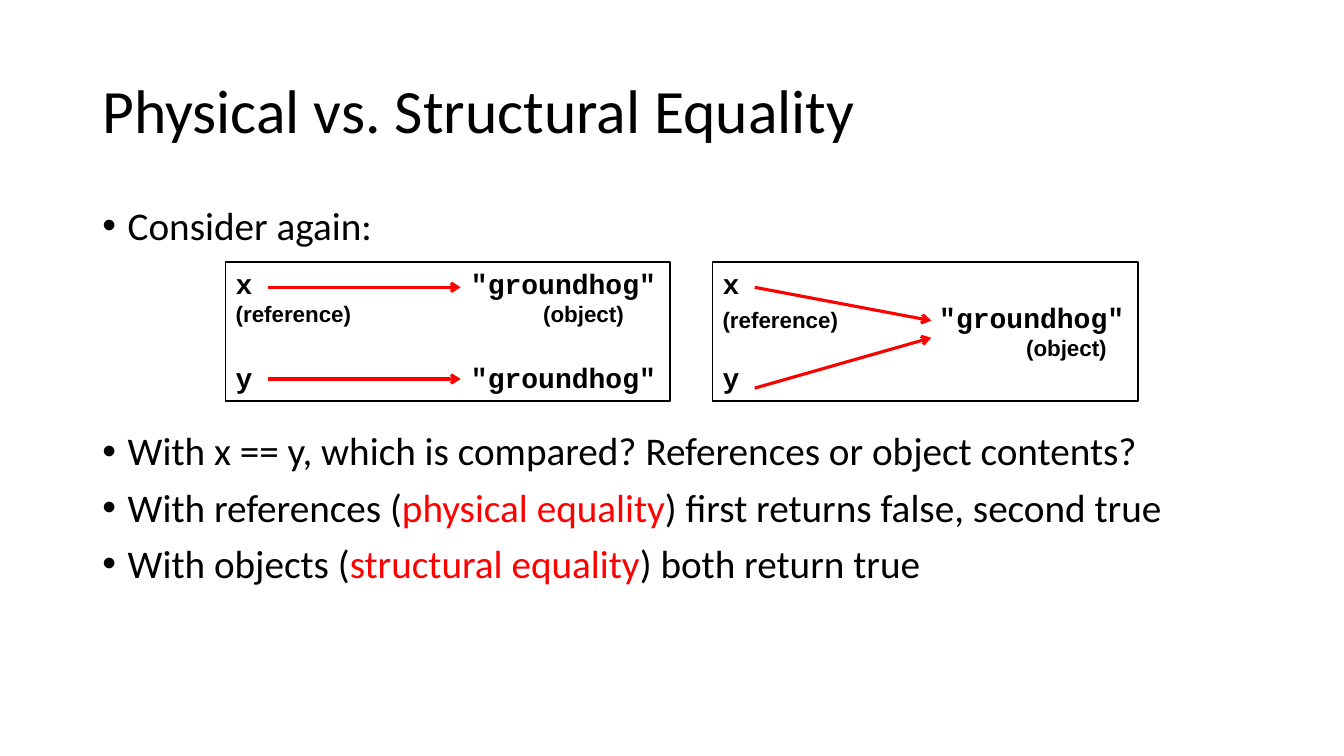
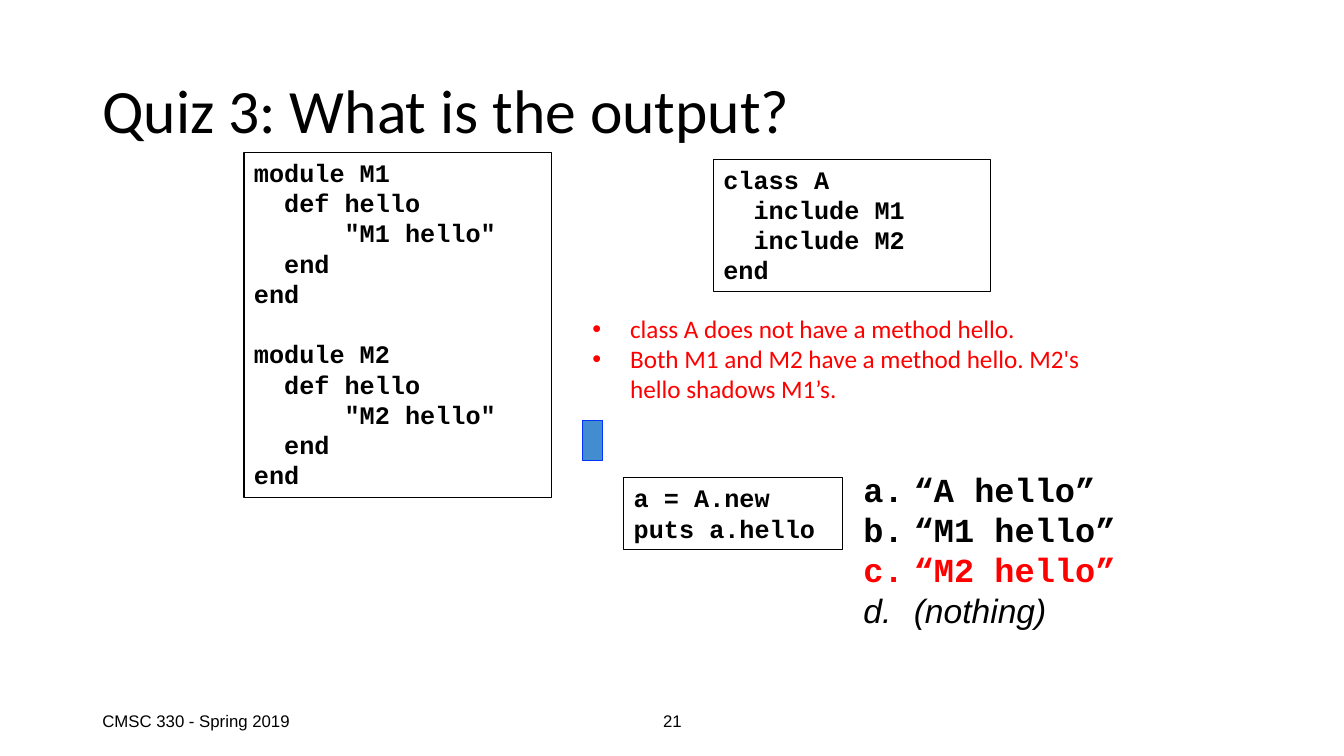
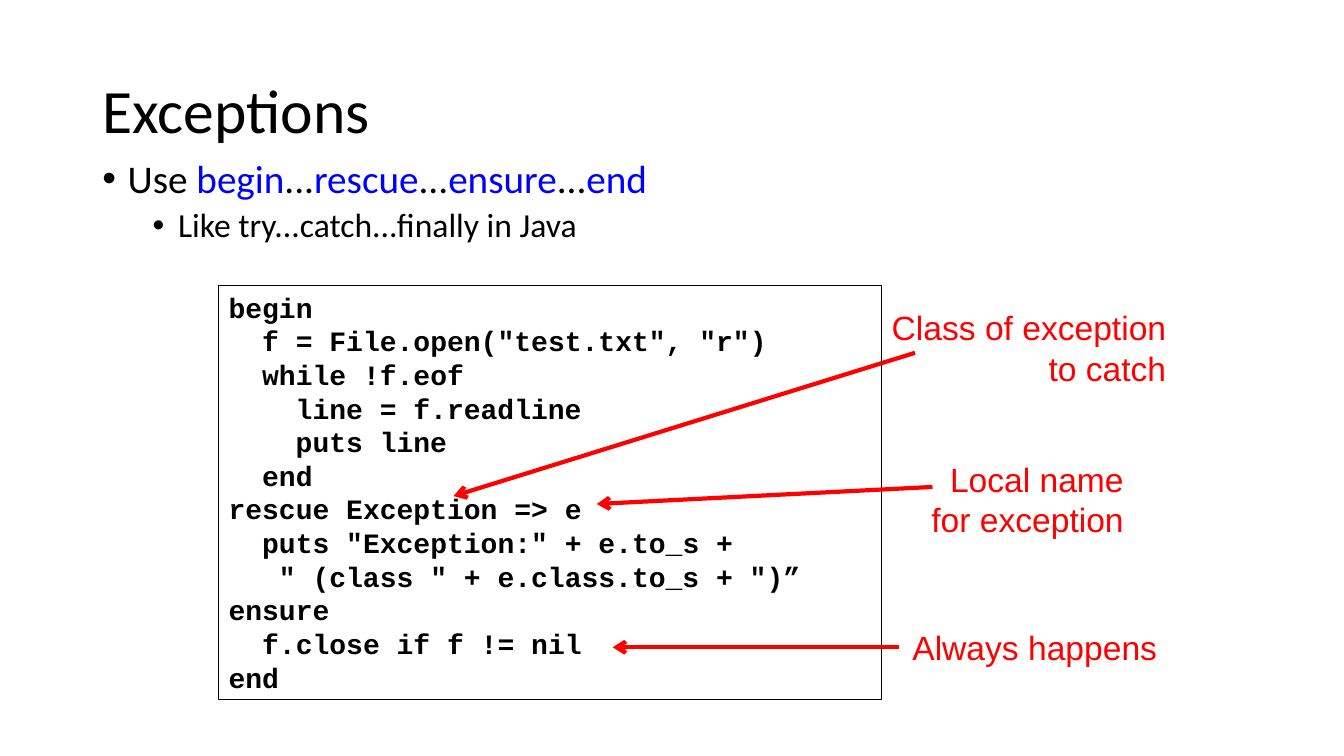
from lxml import etree
from pptx import Presentation
from pptx import util as u
from pptx.dml.color import RGBColor
from pptx.enum import shapes, text
from pptx.oxml import ns

BLACK, RED, BLUE = "000000", "FF0000", "0000FF"
SANS, BODY, MONO = "Arial", "Calibri", "Courier New"
LEFT, MID, RIGHT = text.PP_ALIGN.LEFT, text.PP_ALIGN.CENTER, text.PP_ALIGN.RIGHT
RECT = shapes.MSO_SHAPE.RECTANGLE
paint = RGBColor.from_string


def put(slide, at, lines, size, face, hue=BLACK, bold=None, edge=0, mark=None,
        hang=0, side=LEFT, mid=False, wrap=True, lead=None, gap=None):
    """Place text; a line is a string or a list of (words, colour)."""
    at = [u.Cm(v) for v in at]
    if edge:
        box = slide.shapes.add_shape(RECT, *at)
        box.shadow.inherit = False
        box.fill.background()
        box.line.color.rgb = paint(BLACK)
        box.line.width = u.Pt(edge)
    else:
        box = slide.shapes.add_textbox(*at)
    frame = box.text_frame
    frame.word_wrap = wrap
    frame.vertical_anchor = text.MSO_ANCHOR.MIDDLE if mid else text.MSO_ANCHOR.TOP
    paras = []
    for i, line in enumerate(lines):
        para = frame.add_paragraph() if i else frame.paragraphs[0]
        props = para._p.get_or_add_pPr()
        if mark:
            props.set("marL", str(u.Cm(hang)))
            props.set("indent", str(-u.Cm(hang)))
            if mark == "•":
                etree.SubElement(props, ns.qn("a:buFont")).set("typeface", SANS)
                etree.SubElement(props, ns.qn("a:buChar")).set("char", mark)
            else:
                etree.SubElement(props, ns.qn("a:buAutoNum")).set("type", mark)
        if isinstance(line, str):
            # Leading spaces of code become an indent of 0.6 em each
            deep = len(line) - len(line.lstrip())
            if deep:
                props.set("marL", str(u.Pt(deep * size * 0.6)))
                props.set("indent", "0")
            line = [(line.lstrip(), hue)]
        para.alignment = side
        if lead:
            para.line_spacing = lead
        if gap:
            para.space_before = u.Pt(gap)
        font = para.font
        font.size, font.name, font.bold = u.Pt(size), face, bold
        font.color.rgb = paint(hue)
        for words, tint in line:
            run = para.add_run()
            run.text = words
            if tint != hue:
                run.font.color.rgb = paint(tint)
        paras.append(para)
    return paras


def arrow(slide, ends, width):
    line = slide.shapes.add_connector(
        shapes.MSO_CONNECTOR.STRAIGHT, *[u.Cm(v) for v in ends])
    line.line.color.rgb = paint(RED)
    line.line.width = u.Pt(width)
    tip = etree.SubElement(line.line._get_or_add_ln(), ns.qn("a:tailEnd"))
    tip.set("type", "arrow")
    etree.SubElement(line._element.spPr, ns.qn("a:effectLst"))


deck = Presentation()
deck.slide_width, deck.slide_height = u.Cm(33.87), u.Cm(19.05)

# Shared look
list_look = dict(size=28, face=BODY, mark="•", hang=0.64, lead=0.9, gap=10)
code_look = dict(face=MONO, bold=True)

# Slides and titles
pages = []
for name in ("Physical vs. Structural Equality",
             "Quiz 3: What is the output?", "Exceptions"):
    page = deck.slides.add_slide(deck.slide_layouts[6])
    put(page, (2.33, 1.01, 29.21, 3.68), [name], 44, BODY, mid=True, lead=0.9)
    pages.append(page)
equal, quiz, errors = pages

# Equality: points, with room for the diagrams after the first
points = put(equal, (2.33, 5.07, 29.21, 12.09), [
    "Consider again:",
    "With x == y, which is compared? References or object contents?",
    [("With references (", BLACK), ("physical equality", RED),
     (") first returns false, second true", BLACK)],
    [("With objects (", BLACK), ("structural equality", RED),
     (") both return true", BLACK)]], **list_look)
points[1].space_before = u.Pt(131)

# Equality: diagrams, each row with its tab stop
word = '"groundhog"'
plans = [
    ((5.69, 6.6, 11.2, 3.51),
     [("x\t" + word, 5.93), ("(reference)\t(object)", 7.75), ("y\t" + word, 5.93)],
     24, [(6.76, 7.24, 11.61, 7.24), (6.76, 9.55, 11.61, 9.55)]),
    ((17.96, 6.6, 10.72, 3.51),
     [("x", 0), ("(reference)\t" + word, 5.46), ("\t(object)", 7.65), ("y", 0)],
     0, [(19.02, 7.24, 23.47, 8.08), (19.02, 9.78, 23.47, 8.51)])]
for at, rows, room, lines in plans:
    paras = put(equal, at, [[(part, BLACK) for part in row.partition("\t") if part]
                            for row, stop in rows], 20, edge=1, **code_look)
    for para, (row, stop) in zip(paras, rows):
        if stop:
            props = para._p.get_or_add_pPr()
            tabs = etree.Element(ns.qn("a:tabLst"))
            tab = etree.SubElement(tabs, ns.qn("a:tab"))
            tab.set("pos", str(u.Cm(stop)))
            tab.set("algn", "l")
            props.find(ns.qn("a:defRPr")).addprevious(tabs)
        if "(object)" in row:
            para.font.size, para.font.name = u.Pt(16), SANS
        elif "(reference)" in row:
            small = para.runs[0].font
            small.size, small.name = u.Pt(16), SANS
    paras[-1].space_before = u.Pt(room)
    for ends in lines:
        arrow(equal, ends, 2.25)

# Quiz: marker and footer
block = quiz.shapes.add_shape(RECT, u.Cm(14.68), u.Cm(10.59), u.Cm(0.51), u.Cm(1.02))
block.shadow.inherit = False
block.fill.solid()
block.fill.fore_color.rgb = paint("438CCF")
block.line.color.rgb = paint("0333FF")
block.line.width = u.Pt(0.75)
put(quiz, (2.33, 17.65, 7.62, 1.02), ["CMSC 330 - Spring 2019"], 12, SANS, mid=True)
put(quiz, (11.23, 17.65, 11.43, 1.02), ["21"], 12, SANS, side=MID, mid=True)

# Quiz: code
mods = []
for mod in ("M1", "M2"):
    mods += ["module " + mod, "  def hello", f'      "{mod} hello"', "  end", "end"]
codes = [((6.15, 3.84, 7.75, 8.71), mods),
         ((17.98, 4.01, 6.99, 3.33), ["class A", "  include M1", "  include M2", "end"]),
         ((15.72, 12.04, 5.51, 1.8), ["a = A.new", "puts a.hello"])]
for at, lines in codes:
    paras = put(quiz, at, lines, 18, edge=0.75, **code_look)
    if lines is mods:
        paras[5].space_before = u.Pt(21.6)

# Quiz: reasons and answers
put(quiz, (14.68, 7.77, 13.46, 2.57), [
    "class A does not have a method hello.",
    "Both M1 and M2 have a method hello. M2's hello shadows M1’s."],
    18, BODY, RED, mark="•", hang=0.95)
picks = put(quiz, (21.51, 11.68, 6.91, 4.37),
            ["“A hello”", "“M1 hello”", "“M2 hello”", "(nothing)"],
            24, mark="alphaLcPeriod", hang=1.27, wrap=False, **code_look)
picks[2].font.color.rgb = paint(RED)
last = picks[3].font
last.name, last.bold, last.italic = SANS, False, True

# Exceptions: points
use = [("Use ", BLACK)]
for key in ("begin", "rescue", "ensure", "end"):
    use += [(key, BLUE), ("...", BLACK)]
points = put(errors, (2.33, 3.89, 29.21, 12.09),
             [use[:-1], "Like try...catch...finally in Java"], **list_look)
sub = points[1]
sub.level, sub.space_before, sub.font.size = 1, u.Pt(5), u.Pt(24)
sub._p.get_or_add_pPr().set("marL", str(u.Cm(1.91)))

# Exceptions: code
put(errors, (5.51, 7.19, 16.71, 10.44), [
    "begin",
    '  f = File.open("test.txt", "r")',
    "  while !f.eof",
    "    line = f.readline",
    "    puts line",
    "  end",
    "rescue Exception => e",
    '  puts "Exception:" + e.to_s +',
    '   " (class " + e.class.to_s + ")”',
    "ensure",
    "  f.close if f != nil",
    "end"], 20, edge=1, **code_look)

# Exceptions: callouts
calls = [
    ((22.15, 7.62, 7.49, 2.31), ["Class of exception", "to catch"],
     (23.06, 8.89, 11.43, 12.5)),
    ((23.16, 11.43, 5.41, 2.31), ["Local name", "for exception"],
     (23.5, 12.27, 15.04, 12.7)),
    ((22.73, 15.67, 6.68, 1.27), ["Always happens"],
     (22.66, 16.31, 15.44, 16.31))]
for at, lines, ends in calls:
    put(errors, at, lines, 24, SANS, RED, side=RIGHT, wrap=False)
    arrow(errors, ends, 3)

deck.save("out.pptx")
